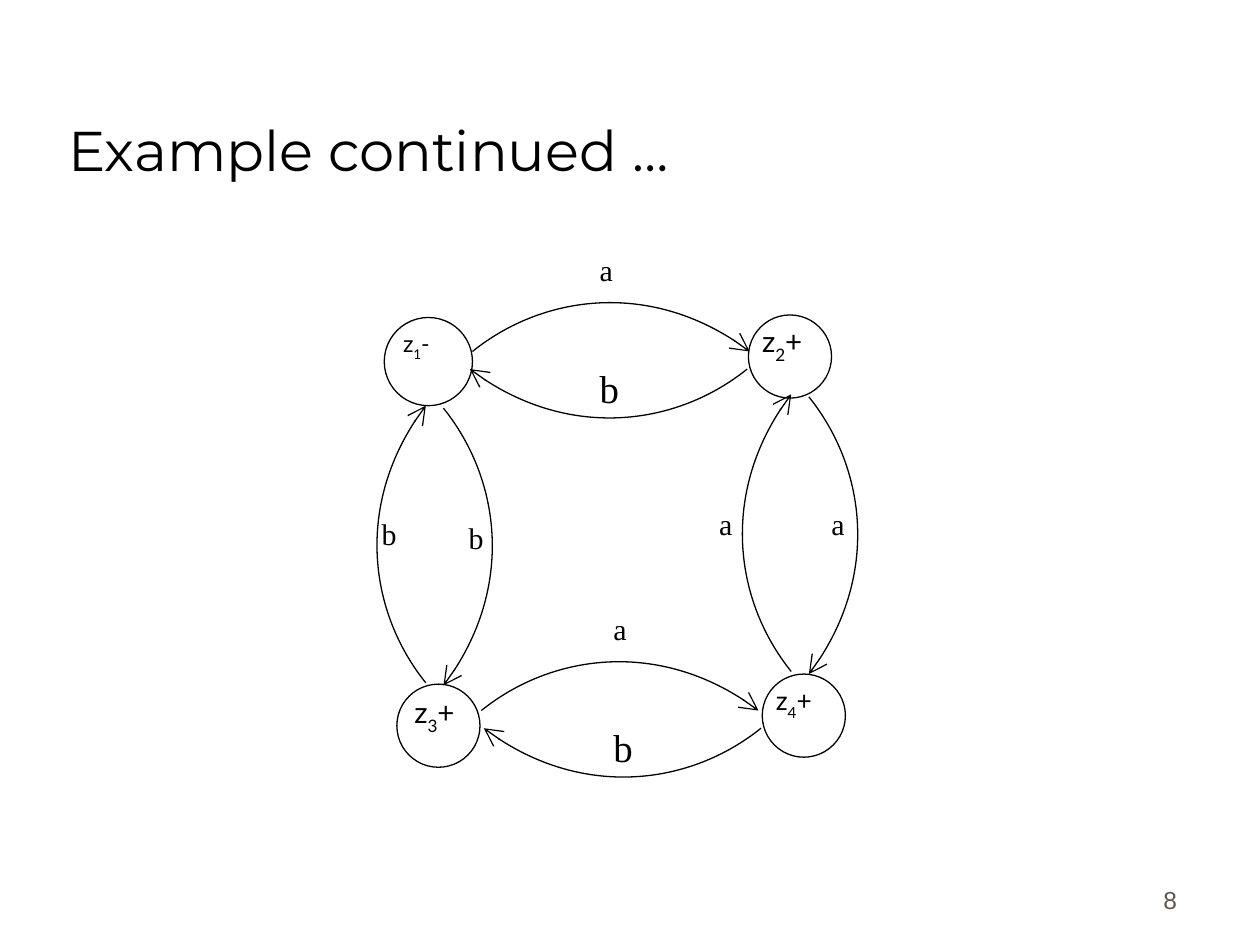
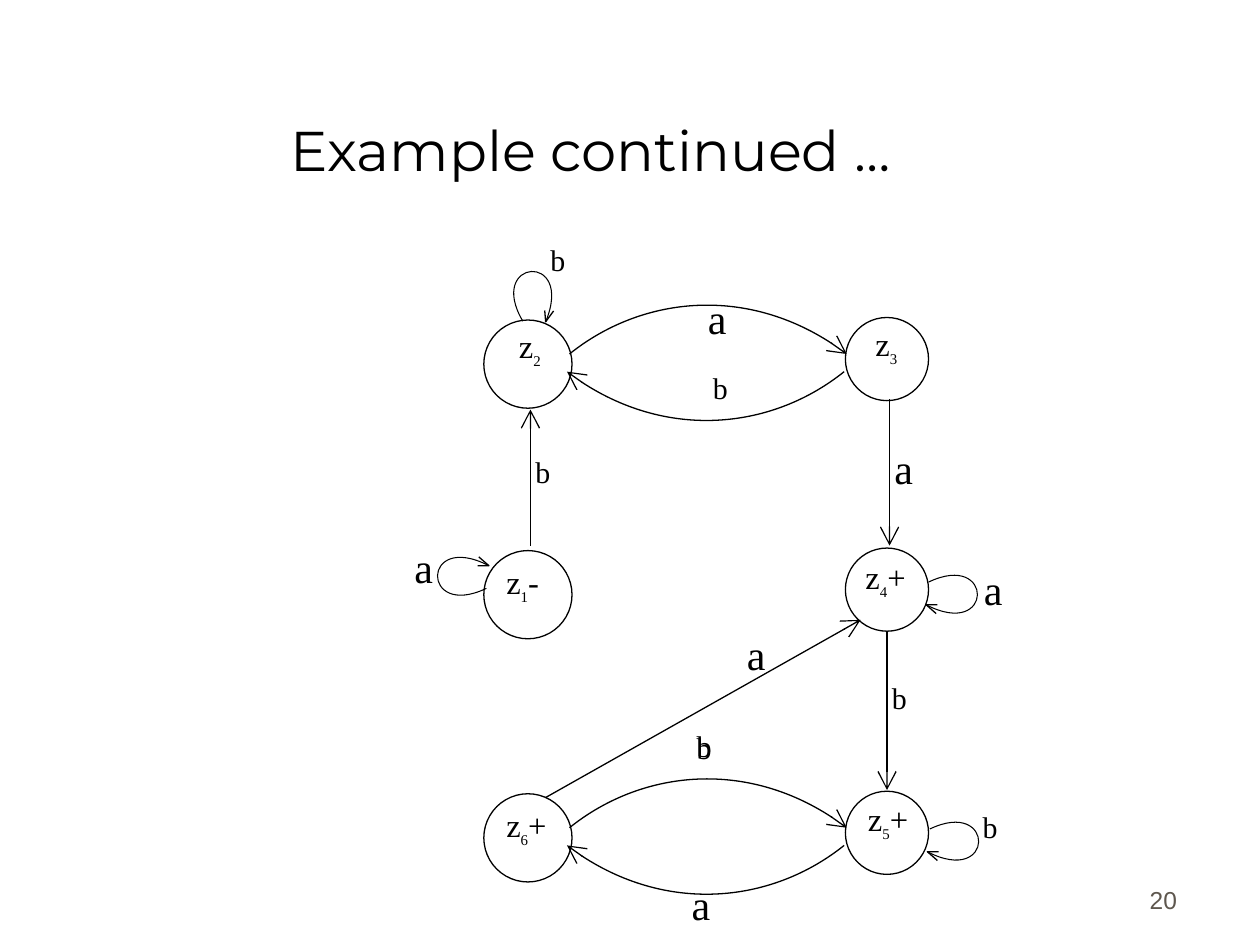
from itertools import groupby
from math import cos, radians, sin
from typing import NamedTuple, Optional

from lxml.etree import SubElement
from pptx import Presentation
from pptx.dml.color import RGBColor
from pptx.enum.shapes import MSO_CONNECTOR, MSO_SHAPE
from pptx.enum.text import MSO_ANCHOR, MSO_AUTO_SIZE, PP_ALIGN
from pptx.oxml.ns import qn
from pptx.util import Inches, Pt

BLACK = RGBColor(0x00, 0x00, 0x00)
WHITE = RGBColor(0xFF, 0xFF, 0xFF)
GREY = RGBColor(0x5E, 0x57, 0x4E)
SERIF = "Times New Roman"
TITLE = "Example continued …"
TITLE_ONLY = 5
RIGHT, DOWN, LEFT, UP = 0, 90, 180, -90

# Outlines that start at the origin and head right; cubic control points
ARC = [(0, 0), (0.56, -0.45), (1.47, -0.56), (2.2, 0)]
LOOP = [(0, 0), (0.52, -0.25), (0.52, 0.46), (-0.02, 0.18)]
LOOP_HEAD = [(0.06, 0.25), (-0.02, 0.18), (0.07, 0.18)]


class TextStyle(NamedTuple):
    width: float
    height: float
    size: float
    font: str = SERIF
    spacing: Optional[float] = 0.8
    sub_size: Optional[float] = None


class State(NamedTuple):
    """A circle, and its name at its own place."""
    x: float
    y: float
    size: float
    name: str
    name_x: float
    name_y: float
    style: TextStyle


class Curve(NamedTuple):
    x: float
    y: float
    angle: float


class Arrow(NamedTuple):
    x1: float
    y1: float
    x2: float
    y2: float


class Label(NamedTuple):
    x: float
    y: float
    text: str
    style: TextStyle


class Automaton(NamedTuple):
    page: str
    title_align: PP_ALIGN
    states: list[State]
    arcs: list[Curve]
    labels: list[Label]
    arrows: list[Arrow] = []
    loops: list[Curve] = []


SMALL = TextStyle(0.41, 0.4, 17.1)
MEDIUM = TextStyle(0.49, 0.5, 22.2, spacing=0.9)
LARGE = TextStyle(0.75, 0.54, 24, spacing=None)
NAME = TextStyle(0.8, 0.45, 18.6, sub_size=14.7)
LATO_13 = TextStyle(0.69, 0.4, 13.2, "Lato")
LATO_15 = TextStyle(0.86, 0.42, 15, "Lato")
LATO_17 = TextStyle(1.04, 0.44, 16.8, "Lato")
PAGE = TextStyle(2.08, 0.5, 14, "Arial", None)

FOUR_STATES = Automaton(
    page="8",
    title_align=PP_ALIGN.LEFT,
    states=[
        State(3.05, 2.52, 0.7, "z1-", 3.1, 2.58, LATO_13),
        State(5.94, 2.5, 0.66, "z2+", 5.95, 2.54, LATO_17),
        State(3.15, 5.43, 0.66, "z3+", 3.19, 5.48, LATO_17),
        State(6.05, 5.35, 0.66, "z4+", 6.06, 5.4, LATO_15),
    ],
    arcs=[
        Curve(3.75, 2.79, RIGHT),
        Curve(5.93, 2.93, LEFT),
        Curve(3.82, 5.64, RIGHT),
        Curve(6.04, 5.78, LEFT),
        Curve(3.38, 5.42, UP),
        Curve(3.52, 3.24, DOWN),
        Curve(6.28, 5.33, UP),
        Curve(6.42, 3.15, DOWN),
    ],
    labels=[
        Label(4.66, 2, "a", SMALL),
        Label(4.66, 2.89, "b", MEDIUM),
        Label(4.77, 4.85, "a", SMALL),
        Label(4.77, 5.74, "b", MEDIUM),
        Label(2.93, 4.1, "b", SMALL),
        Label(3.62, 4.13, "b", SMALL),
        Label(5.61, 4.02, "a", SMALL),
        Label(6.5, 4.02, "a", SMALL),
    ],
)

SIX_STATES = Automaton(
    page="20",
    title_align=PP_ALIGN.CENTER,
    states=[
        State(3.84, 4.37, 0.7, "z1-", 3.92, 4.45, NAME),
        State(3.84, 2.54, 0.7, "z2", 4.02, 2.58, NAME),
        State(6.71, 2.52, 0.66, "z3", 6.85, 2.56, NAME),
        State(6.71, 4.35, 0.66, "z4+", 6.77, 4.41, NAME),
        State(6.71, 6.28, 0.66, "z5+", 6.79, 6.33, NAME),
        State(3.84, 6.3, 0.7, "z6+", 3.92, 6.38, NAME),
    ],
    arcs=[
        Curve(4.52, 2.81, RIGHT),
        Curve(6.7, 2.95, LEFT),
        Curve(4.52, 6.57, RIGHT),
        Curve(6.7, 6.71, LEFT),
    ],
    arrows=[
        Arrow(7.06, 3.17, 7.06, 4.33),
        Arrow(4.33, 6.33, 6.83, 4.92),
        Arrow(7.04, 5.02, 7.04, 6.27),
        Arrow(4.21, 4.33, 4.21, 3.25),
    ],
    loops=[
        Curve(3.86, 4.67, LEFT),
        Curve(4.15, 2.55, UP - 5),
        Curve(7.37, 4.62, RIGHT),
        Curve(7.38, 6.58, RIGHT),
    ],
    labels=[
        Label(5.52, 2.27, "a", LARGE),
        Label(5.56, 2.94, "b", SMALL),
        Label(7, 3.46, "a", LARGE),
        Label(5.83, 4.94, "a", LARGE),
        Label(6.98, 5.4, "b", SMALL),
        Label(4.15, 3.61, "b", SMALL),
        Label(5.43, 5.78, "b", SMALL),
        Label(5.43, 5.8, "b", SMALL),
        Label(5.39, 6.92, "a", LARGE),
        Label(4.27, 1.92, "b", SMALL),
        Label(7.7, 6.42, "b", SMALL),
        Label(7.71, 4.42, "a", LARGE),
        Label(3.19, 4.25, "a", LARGE),
    ],
)


def add_text(slide, x: float, y: float, text: str, style: TextStyle, *,
             color=BLACK, align=PP_ALIGN.LEFT, anchor=MSO_ANCHOR.TOP,
             subscripts: bool = False) -> None:
    """Add a text box; with subscripts, its digits are lowered."""
    box = slide.shapes.add_textbox(
        Inches(x), Inches(y), Inches(style.width), Inches(style.height))
    tf = box.text_frame
    tf.word_wrap = True
    tf.vertical_anchor = anchor
    p = tf.paragraphs[0]
    p.alignment = align
    p.line_spacing = style.spacing
    for is_digit, chars in groupby(text, str.isdigit):
        r = p.add_run()
        r.text = "".join(chars)
        r.font.name = style.font
        r.font.size = Pt(style.size)
        r.font.color.rgb = color
        if subscripts and is_digit:
            r.font.size = Pt(style.sub_size or style.size)
            r._r.get_or_add_rPr().set("baseline", "-30000")


def set_line(shape, width: float = 0.75, arrow: bool = False) -> None:
    shape.line.color.rgb = BLACK
    shape.line.width = Pt(width)
    if arrow:
        SubElement(shape.line._get_or_add_ln(), qn("a:tailEnd"),
                   type="arrow", w="lg", len="lg")


def add_state(slide, state: State) -> None:
    sp = slide.shapes.add_shape(
        MSO_SHAPE.OVAL, Inches(state.x), Inches(state.y),
        Inches(state.size), Inches(state.size))
    sp.shadow.inherit = False
    sp.fill.solid()
    sp.fill.fore_color.rgb = WHITE
    set_line(sp)
    add_text(slide, state.name_x, state.name_y, state.name, state.style,
             subscripts=True)


def add_outline(slide, curve: Curve, points: list[tuple[float, float]]):
    """Add an open line through the points, turned and moved to the curve."""
    c, s = cos(radians(curve.angle)), sin(radians(curve.angle))
    start, *rest = [(Inches(curve.x + x * c - y * s),
                     Inches(curve.y + x * s + y * c)) for x, y in points]
    builder = slide.shapes.build_freeform(*start)
    builder.add_line_segments(rest, close=False)
    sp = builder.convert_to_shape()
    sp.shadow.inherit = False
    sp.fill.background()
    return sp


def bend(sp) -> None:
    """Turn the three segments of an outline into one cubic curve."""
    outline = sp._element.find(".//" + qn("a:path"))
    segments = outline.findall(qn("a:lnTo"))
    cubic = SubElement(outline, qn("a:cubicBezTo"))
    for segment in segments:
        cubic.append(segment[0])
        outline.remove(segment)


def add_arc(slide, arc: Curve) -> None:
    sp = add_outline(slide, arc, ARC)
    bend(sp)
    set_line(sp, arrow=True)


def add_loop(slide, loop: Curve) -> None:
    sp = add_outline(slide, loop, LOOP)
    bend(sp)
    set_line(sp, 0.6)
    set_line(add_outline(slide, loop, LOOP_HEAD))


def add_arrow(slide, arrow: Arrow) -> None:
    line = slide.shapes.add_connector(
        MSO_CONNECTOR.STRAIGHT, *(Inches(v) for v in arrow))
    set_line(line, arrow=True)
    SubElement(line._element.spPr, qn("a:effectLst"))


def add_title(slide, align: PP_ALIGN) -> None:
    title = slide.shapes.title
    title.left, title.top = Inches(0.44), Inches(0.25)
    title.width, title.height = Inches(8.5), Inches(1.25)
    tf = title.text_frame
    tf.text = TITLE
    tf.auto_size = MSO_AUTO_SIZE.NONE
    tf.vertical_anchor = MSO_ANCHOR.BOTTOM
    p = tf.paragraphs[0]
    p.alignment = align
    p.font.name = "Montserrat"
    p.font.size = Pt(32)
    p.font.color.rgb = BLACK


def add_automaton_slide(prs, automaton: Automaton) -> None:
    slide = prs.slides.add_slide(prs.slide_layouts[TITLE_ONLY])
    add_title(slide, automaton.title_align)
    add_text(slide, 7.36, 6.81, automaton.page, PAGE, color=GREY,
             align=PP_ALIGN.RIGHT, anchor=MSO_ANCHOR.BOTTOM)
    for state in automaton.states:
        add_state(slide, state)
    for arc in automaton.arcs:
        add_arc(slide, arc)
    for arrow in automaton.arrows:
        add_arrow(slide, arrow)
    for loop in automaton.loops:
        add_loop(slide, loop)
    for label in automaton.labels:
        add_text(slide, *label)


def main() -> None:
    prs = Presentation()
    prs.slide_width, prs.slide_height = Inches(10), Inches(7.5)
    for automaton in (FOUR_STATES, SIX_STATES):
        add_automaton_slide(prs, automaton)
    prs.save("out.pptx")


if __name__ == "__main__":
    main()
